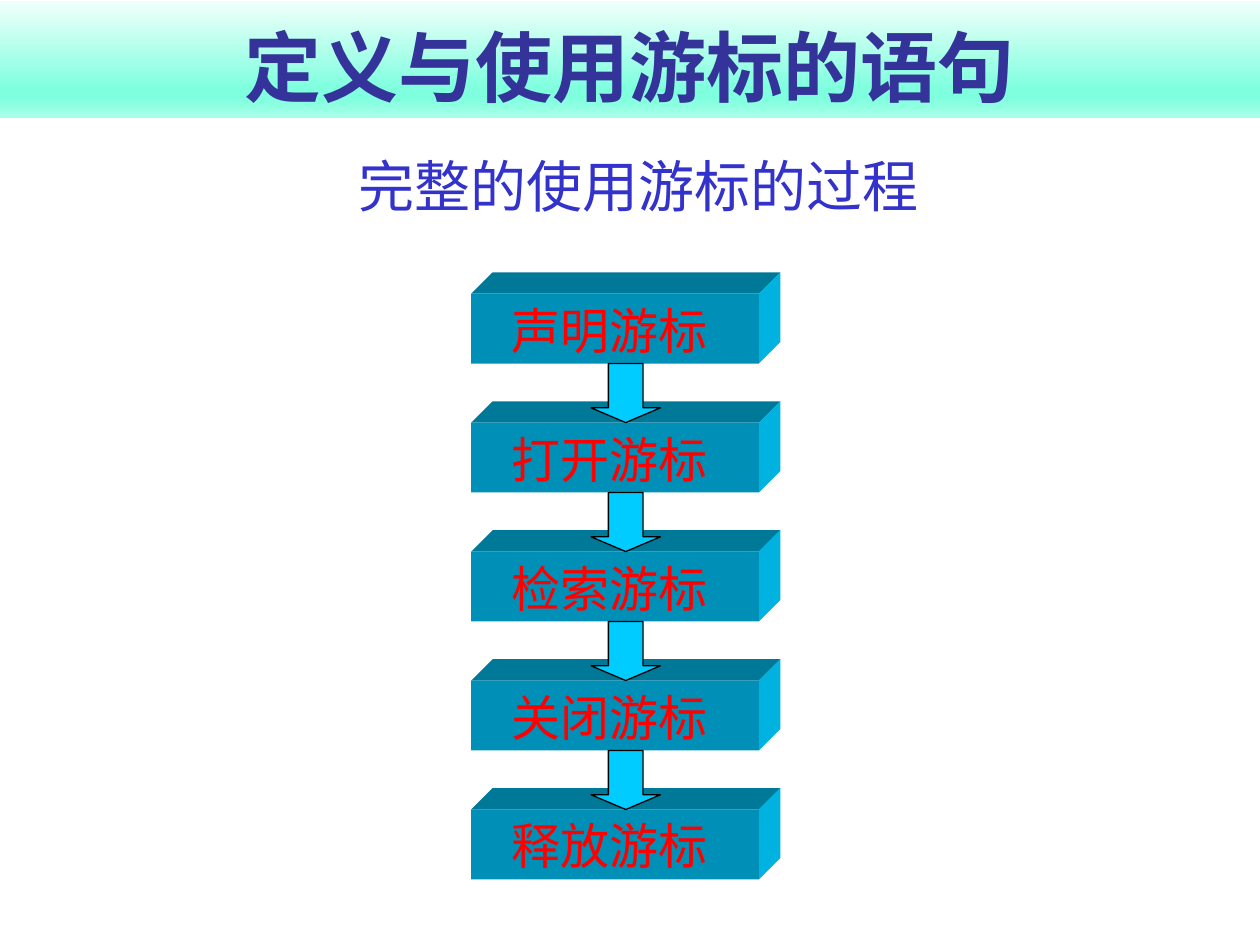
"""Build a slide showing the five steps of using a database cursor."""
from dataclasses import dataclass

from lxml.etree import SubElement
from pptx import Presentation
from pptx.dml.color import RGBColor
from pptx.enum.shapes import MSO_SHAPE as Shape
from pptx.enum.text import MSO_ANCHOR as Anchor, MSO_AUTO_SIZE as AutoSize, PP_ALIGN as Align
from pptx.oxml.ns import qn
from pptx.util import Cm, Pt

NAVY = RGBColor(0x33, 0x33, 0x99)
BLUE = RGBColor(0x33, 0x33, 0xCC)
RED = RGBColor(0xFF, 0x00, 0x00)
BLACK = RGBColor(0x00, 0x00, 0x00)
CYAN = RGBColor(0x00, 0xCC, 0xFF)
FRONT = RGBColor(0x00, 0x8F, 0xB7)
TOP = RGBColor(0x00, 0x79, 0x98)
SIDE = RGBColor(0x00, 0xB2, 0xDF)
BANNER = (
    (0, RGBColor(0xF1, 0xFF, 0xFB)),
    (74, RGBColor(0x80, 0xFF, 0xDE)),
    (83, RGBColor(0x80, 0xFF, 0xDE)),
    (100, RGBColor(0xAA, 0xFF, 0xE9)),
)

BLOCK_X, BLOCK_Y, BLOCK_W, BLOCK_H = 9.5, 5.92, 5.8, 1.41
DEPTH, PITCH = 0.43, 2.6
ARROW_W = 1.4


@dataclass
class Step:
    label: str
    row: int

    @property
    def y(self) -> float:
        return BLOCK_Y + self.row * PITCH


STEPS = [Step(label, row) for row, label in
         enumerate(("声明游标", "打开游标", "检索游标", "关闭游标", "释放游标"))]


def write(tf, text: str, font: str, size: int, color: RGBColor, bold: bool = False) -> None:
    p = tf.paragraphs[0]
    p.alignment = Align.CENTER
    p.space_before = Pt(0)
    r = p.add_run()
    r.text = text
    r.font.name, r.font.size, r.font.bold = font, Pt(size), bold
    r.font.color.rgb = color


def paint(sp, color: RGBColor) -> None:
    sp.shadow.inherit = False
    sp.fill.solid()
    sp.fill.fore_color.rgb = color
    sp.line.fill.background()


def add_banner_fill(sp) -> None:
    grad = SubElement(sp.element.spPr, qn("a:gradFill"), rotWithShape="1")
    stops = SubElement(grad, qn("a:gsLst"))
    for pos, color in BANNER:
        stop = SubElement(stops, qn("a:gs"), pos=str(pos * 1000))
        SubElement(stop, qn("a:srgbClr"), val=str(color))
    SubElement(grad, qn("a:lin"), ang="5400000", scaled="1")


def add_face(s, points: list[tuple[float, float]], color: RGBColor) -> None:
    start, *rest = [(Cm(x), Cm(y)) for x, y in points]
    builder = s.shapes.build_freeform(*start)
    builder.add_line_segments(rest, close=True)
    paint(builder.convert_to_shape(), color)


def add_block(s, step: Step) -> None:
    x, y, right, bottom = BLOCK_X, step.y, BLOCK_X + BLOCK_W, step.y + BLOCK_H
    back = (right + DEPTH, y - DEPTH)
    add_face(s, [(x, y), (x + DEPTH, y - DEPTH), back, (right, y)], TOP)
    add_face(s, [(right, y), back, (right + DEPTH, bottom - DEPTH), (right, bottom)], SIDE)
    sp = s.shapes.add_shape(Shape.RECTANGLE, Cm(x), Cm(y), Cm(BLOCK_W), Cm(BLOCK_H))
    paint(sp, FRONT)
    tf = sp.text_frame
    tf.word_wrap = False
    tf.vertical_anchor = Anchor.MIDDLE
    tf.margin_top, tf.margin_right = Cm(0.16), Cm(0.48)
    write(tf, step.label, "Noto Sans CJK JP", 28, RED)


def add_arrow(s, step: Step) -> None:
    x = BLOCK_X + (BLOCK_W + DEPTH - ARROW_W) / 2
    sp = s.shapes.add_shape(Shape.DOWN_ARROW, Cm(x), Cm(step.y + BLOCK_H),
                            Cm(ARROW_W), Cm(PITCH - BLOCK_H))
    sp.adjustments[0], sp.adjustments[1] = 0.5, 0.25
    paint(sp, CYAN)
    sp.line.color.rgb = BLACK
    sp.line.width = Pt(0.75)


def main() -> None:
    prs = Presentation()
    prs.slide_width, prs.slide_height = Cm(25.4), Cm(19.05)
    s = prs.slides.add_slide(prs.slide_layouts[5])

    title = s.shapes.title
    title.left, title.top, title.width, title.height = Cm(0), Cm(0.02), Cm(25.4), Cm(2.36)
    add_banner_fill(title)
    tf = title.text_frame
    tf.auto_size = AutoSize.NONE
    tf.vertical_anchor = Anchor.BOTTOM
    write(tf, "定义与使用游标的语句", "Lato", 44, NAVY, True)

    tf = s.shapes.add_textbox(Cm(5.26), Cm(2.92), Cm(14.3), Cm(1.8)).text_frame
    tf.word_wrap = True
    tf.margin_left = Cm(1.19)
    write(tf, "完整的使用游标的过程", "Lato", 32, BLUE)

    for step in STEPS:
        add_block(s, step)
    for step in STEPS[:-1]:
        add_arrow(s, step)
    prs.save("out.pptx")


if __name__ == "__main__":
    main()
